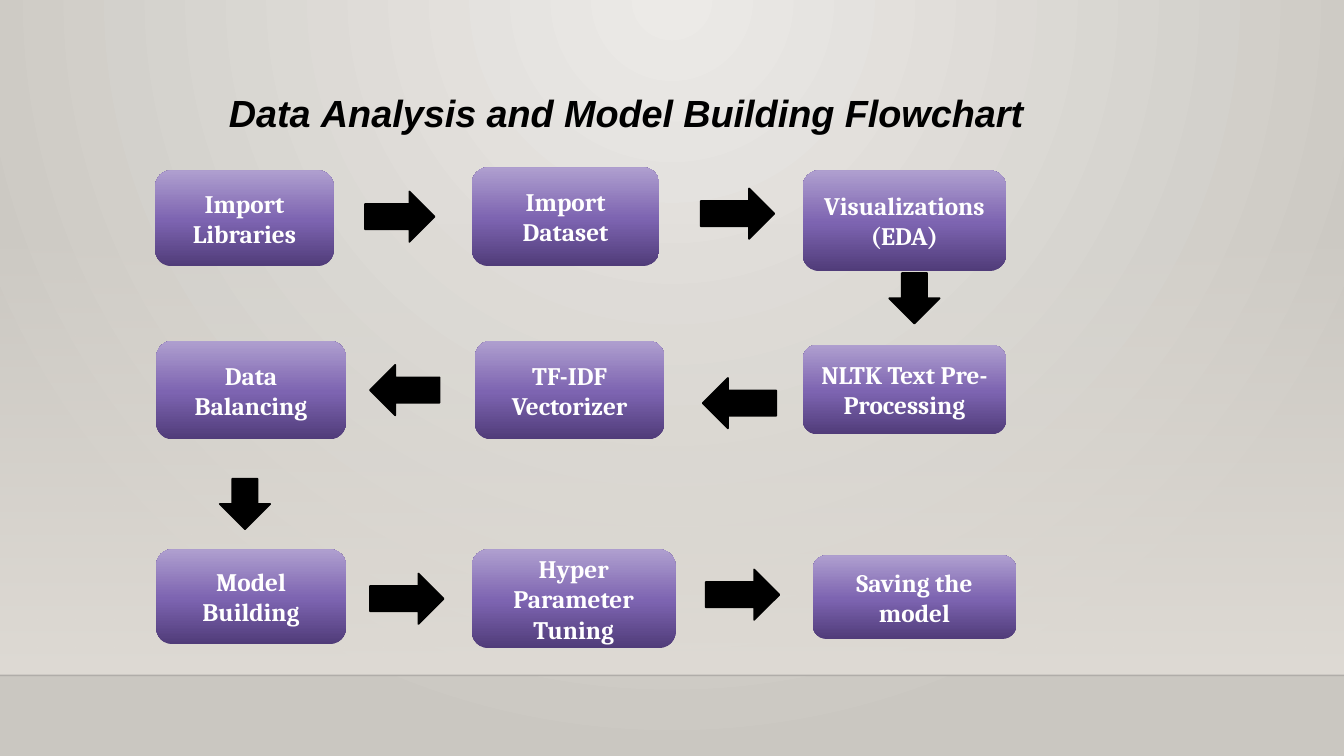
import pptx
import pptx.util
import pptx.dml.color
import pptx.enum.shapes
import pptx.enum.text
import pptx.oxml
import pptx.oxml.ns
from lxml import etree

Inches = pptx.util.Inches
Pt = pptx.util.Pt
FORM = pptx.enum.shapes.MSO_SHAPE
qn = pptx.oxml.ns.qn

COLORS = {
    "black": "000000", "white": "FFFFFF", "line": "000001",
    "light": "ECEAE7", "edge": "CAC7C1", "wall": "DFDBD5",
    "dark": "503C79", "mid": "7D64B1", "pale": "AF9FCF",
}

TITLE = "Data Analysis and Model Building Flowchart"

STEPS = [
    ("Import Libraries", 1.54, 1.69, 1.77, 0.95),
    ("Import Dataset", 4.68, 1.66, 1.86, 0.98),
    ("Visualizations\n(EDA)", 7.96, 1.69, 2.02, 1),
    ("NLTK Text Pre-Processing", 7.96, 3.42, 2.02, 0.89),
    ("TF-IDF Vectorizer", 4.71, 3.38, 1.88, 0.98),
    ("Data Balancing", 1.55, 3.38, 1.88, 0.98),
    ("Model Building", 1.55, 5.45, 1.88, 0.94),
    ("Hyper Parameter Tuning", 4.68, 5.45, 2.02, 0.98),
    ("Saving the model", 8.06, 5.51, 2.02, 0.83),
]

ARROWS = [
    (FORM.RIGHT_ARROW, 3.62, 1.9, 0.69),
    (FORM.RIGHT_ARROW, 6.95, 1.87, 0.73),
    (FORM.DOWN_ARROW, 8.82, 2.71, 0.5),
    (FORM.LEFT_ARROW, 6.97, 3.75, 0.73),
    (FORM.LEFT_ARROW, 3.67, 3.62, 0.69),
    (FORM.DOWN_ARROW, 2.18, 4.75, 0.5),
    (FORM.RIGHT_ARROW, 3.67, 5.69, 0.73),
    (FORM.RIGHT_ARROW, 7, 5.65, 0.73),
]


def color(name):
    return pptx.dml.color.RGBColor.from_string(COLORS[name])


def fade(node, alpha):
    tone = next(node.iter(qn("a:srgbClr")))
    etree.SubElement(tone, qn("a:alpha"), val=str(alpha * 1000))


def blend(fill, root, stops, angle=None):
    fill.solid()
    grad = etree.Element(qn("a:gradFill"), rotWithShape="1")
    group = etree.SubElement(grad, qn("a:gsLst"))
    for place, name, alpha in stops:
        stop = etree.SubElement(group, qn("a:gs"), pos=str(place * 1000))
        etree.SubElement(stop, qn("a:srgbClr"), val=COLORS[name])
        if alpha < 100:
            fade(stop, alpha)
    if angle is None:
        ring = etree.SubElement(grad, qn("a:path"), path="circle")
        etree.SubElement(ring, qn("a:fillToRect"),
                         l="43000", t="0", r="43000", b="100000")
    else:
        etree.SubElement(grad, qn("a:lin"), ang=str(angle * 60000), scaled="0")
    solid = next(root.iter(qn("a:solidFill")))
    solid.getparent().replace(solid, grad)


def add_form(slide, kind, left, top, width, height):
    form = slide.shapes.add_shape(
        kind, Inches(left), Inches(top), Inches(width), Inches(height))
    form.shadow.inherit = False
    form.line.fill.background()
    return form


def add_run(para, text, size=18, font="Cambria", tone="white",
            bold=True, italic=False):
    run = para.add_run()
    run.text = text
    run.font.size = Pt(size)
    run.font.name = font
    run.font.bold = bold
    run.font.italic = italic
    run.font.color.rgb = color(tone)


def add_step(slide, text, *place):
    form = add_form(slide, FORM.FLOWCHART_ALTERNATE_PROCESS, *place)
    stops = [(0, "dark", 100), (48, "mid", 100), (100, "pale", 100)]
    blend(form.fill, form.element, stops, 270)
    frame = form.text_frame
    frame.word_wrap = True
    frame.vertical_anchor = pptx.enum.text.MSO_ANCHOR.MIDDLE
    for index, line in enumerate(text.split("\n")):
        para = frame.add_paragraph() if index else frame.paragraphs[0]
        para.alignment = pptx.enum.text.PP_ALIGN.CENTER
        add_run(para, line)


def add_arrow(slide, kind, left, top, width):
    form = add_form(slide, kind, left, top, width, 0.5)
    form.fill.solid()
    form.fill.fore_color.rgb = color("black")
    form.line.color.rgb = color("black")
    form.line.width = Pt(1.25)


def add_title(slide):
    box = slide.shapes.add_textbox(
        Inches(0.76), Inches(0.77), Inches(10.9), Inches(0.94))
    box.text_frame.word_wrap = True
    para = box.text_frame.paragraphs[0]
    para.alignment = pptx.enum.text.PP_ALIGN.CENTER
    for index, word in enumerate(TITLE.split()):
        if index:
            add_run(para, " ", size=32, font="Calibri", tone="black")
        add_run(para, word, size=27, font="Arial", tone="black", italic=True)


def add_room(slide):
    ground = slide.background.fill
    blend(ground, slide.element, [(0, "light", 100), (100, "edge", 100)])
    wall = add_form(slide, FORM.RECTANGLE, 0, 2.21, 13.33, 4.49)
    blend(wall.fill, wall.element, [(0, "wall", 0), (100, "wall", 100)], 90)
    floor = slide.shapes.add_connector(
        pptx.enum.shapes.MSO_CONNECTOR.STRAIGHT,
        Inches(0), Inches(6.7), Inches(13.33), Inches(6.7))
    floor.line.color.rgb = color("line")
    floor.line.width = Pt(1)
    fade(floor.element, 20)
    props = next(floor.element.iter(qn("p:spPr")))
    etree.SubElement(props, qn("a:effectLst"))


def main():
    deck = pptx.Presentation()
    deck.slide_width = Inches(13.33)
    deck.slide_height = Inches(7.5)
    slide = deck.slides.add_slide(deck.slide_layouts[6])
    add_room(slide)
    add_title(slide)
    for step in STEPS:
        add_step(slide, *step)
    for arrow in ARROWS:
        add_arrow(slide, *arrow)
    deck.save("out.pptx")


if __name__ == "__main__":
    main()
